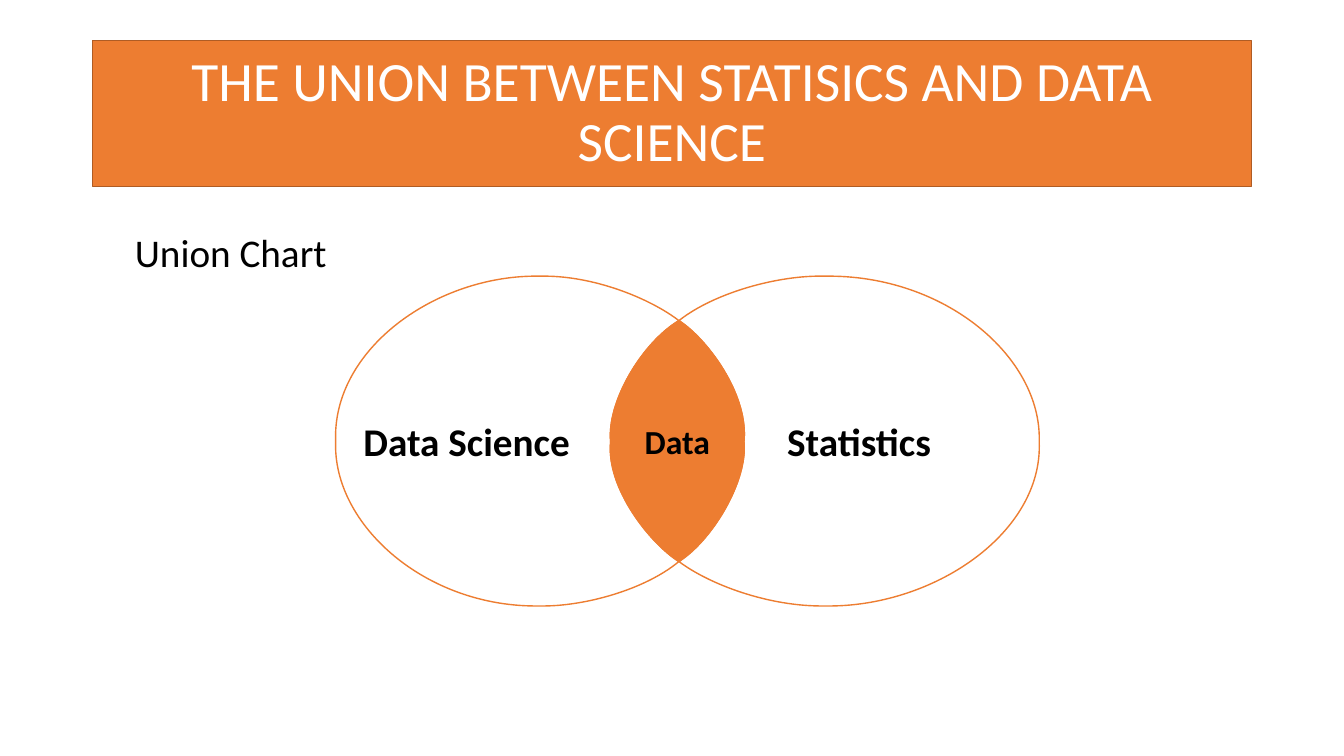
from dataclasses import dataclass

from lxml.etree import SubElement as Sub
from pptx import Presentation
from pptx.dml.color import RGBColor as Rgb
from pptx.enum.shapes import MSO_SHAPE as Kind
from pptx.enum.text import MSO_ANCHOR as Anchor, PP_ALIGN as Align
from pptx.oxml.ns import qn
from pptx.util import Cm, Pt

ORANGE, WHITE, BLACK = "ED7D31", "FFFFFF", "000000"
TOP, BASE = (17.11, 8.08), (17.11, 14.15)


@dataclass
class Zone:
    text: str
    edge: list
    fill: str
    size: float
    align: Align = Align.CENTER
    inset: float = 0.25


def color(code: str) -> Rgb:
    return Rgb.from_string(code)


def paint(shape, fill: str, line: str) -> None:
    shape.shadow.inherit = False
    shape.fill.solid()
    shape.fill.fore_color.rgb = color(fill)
    shape.line.color.rgb = color(line)
    shape.line.width = Pt(1)


def write(shape, text: str, size: float, ink: str = BLACK, bold: bool = False,
          align: Align = Align.CENTER, anchor: Anchor = Anchor.MIDDLE,
          space: float = 1.0) -> None:
    frame = shape.text_frame
    frame.text = text
    frame.word_wrap = True
    frame.vertical_anchor = anchor
    para = frame.paragraphs[0]
    para.alignment = align
    para.line_spacing = space
    font = para.runs[0].font
    font.name, font.size, font.bold = "Calibri", Pt(size), bold
    font.color.rgb = color(ink)


def bend(shape, dots: list) -> None:
    lines = list(shape.element.iter(qn("a:lnTo")))
    for i, line in enumerate(lines):
        line.tag = qn("a:cubicBezTo")
        line.remove(line[0])
        for x, y in dots[3 * i + 1:3 * i + 4]:
            Sub(line, qn("a:pt"), x=str(x - shape.left), y=str(y - shape.top))


def draw(shapes, zone: Zone):
    dots = [(Cm(x), Cm(y)) for x, y in zone.edge]
    pen = shapes.build_freeform(*dots[0], scale=1.0)
    pen.add_line_segments(dots[3::3], close=True)
    shape = pen.convert_to_shape()
    bend(shape, dots)
    paint(shape, zone.fill, ORANGE)
    write(shape, zone.text, zone.size, bold=True, align=zone.align)
    shape.text_frame.margin_left = Cm(zone.inset)
    return shape


deck = Presentation()
deck.slide_width, deck.slide_height = Cm(33.87), Cm(19.05)
shapes = deck.slides.add_slide(deck.slide_layouts[6]).shapes

title = shapes.add_shape(Kind.RECTANGLE, Cm(2.33), Cm(1.02), Cm(29.21), Cm(3.68))
paint(title, ORANGE, "AF5C24")
write(title, "THE UNION BETWEEN STATISICS AND DATA SCIENCE", 39.6, WHITE, space=0.9)

body = shapes.add_textbox(Cm(3.15), Cm(5.77), Cm(28.4), Cm(11.4))
write(body, "Union Chart", 28, align=Align.LEFT, anchor=Anchor.TOP, space=0.9)
body.text_frame.paragraphs[0].space_before = Pt(10)

east = [TOP, (18.01, 7.37), (19.63, 6.93), (20.78, 6.96),
        (23.83, 6.91), (26.26, 9.02), (26.19, 11.13),
        (26.29, 13.44), (23.5, 15.32), (20.78, 15.27),
        (19.38, 15.29), (17.88, 14.73), BASE]
west = [BASE, (16.26, 14.86), (14.71, 15.29), (13.61, 15.27),
        (10.72, 15.32), (8.38, 13.21), (8.46, 11.13),
        (8.36, 8.79), (11.02, 6.91), (13.61, 6.96),
        (14.94, 6.93), (16.38, 7.52), TOP]
rise = [BASE, (17.98, 13.59), (18.85, 12.09), (18.75, 11.13),
        (18.87, 9.93), (17.81, 8.53), TOP]
fall = [TOP, (16.18, 8.64), (15.29, 10.13), (15.39, 11.13),
        (15.27, 12.29), (16.38, 13.69), BASE]

zones = [
    Zone("Statistics", east + rise[1:], WHITE, 28),
    Zone("Data Science", west + fall[1:], WHITE, 28, Align.LEFT, 0.7),
    Zone("Data", fall + rise[1:], ORANGE, 24),
]
shapes.add_group_shape([draw(shapes, zone) for zone in zones])

deck.save("out.pptx")
